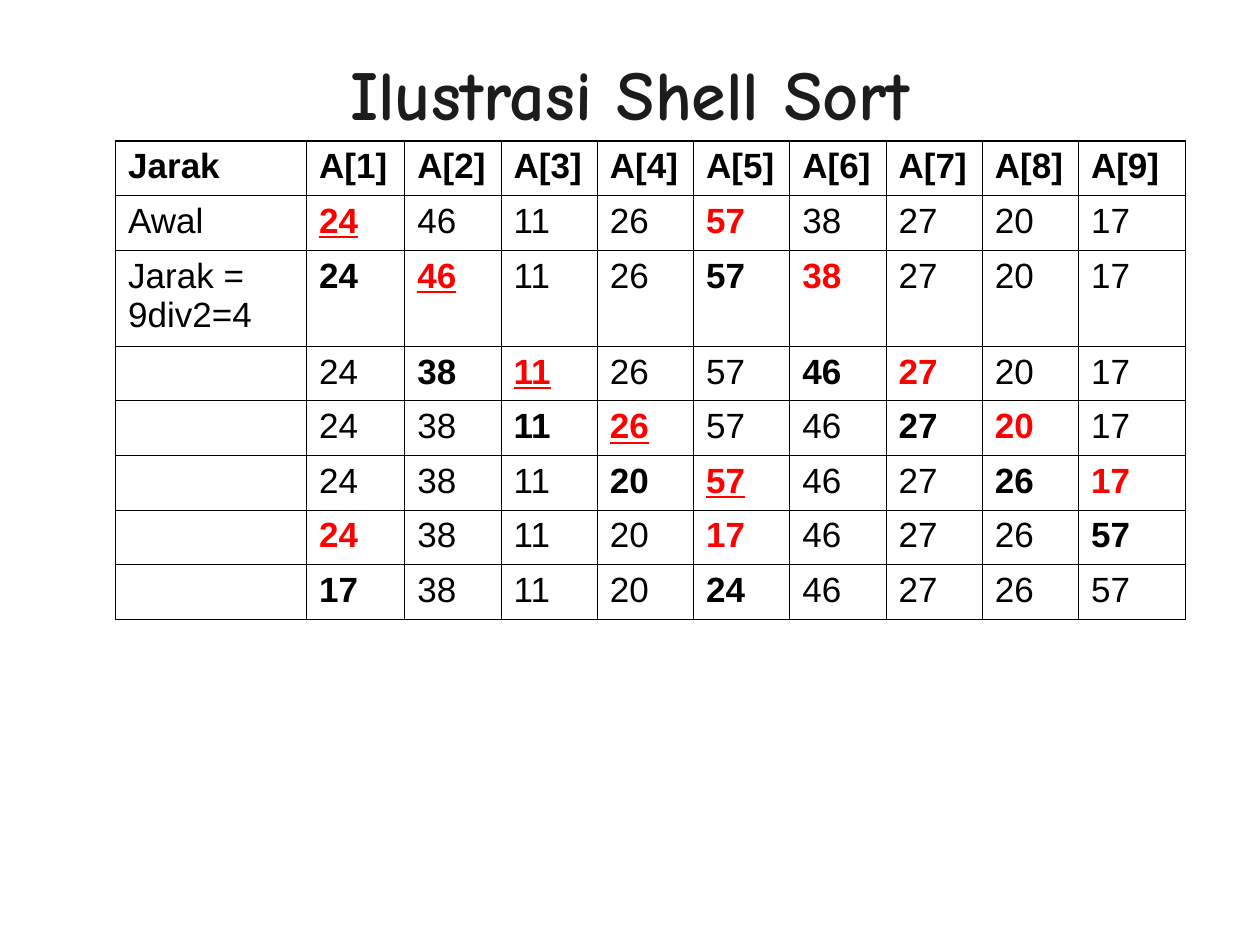
import lxml.etree
import pptx
import pptx.dml.color
import pptx.enum.text
import pptx.oxml.ns
import pptx.util

Cm, Pt = pptx.util.Cm, pptx.util.Pt
COLORS = {"title": "1C1C1C", "text": "000000", "swap": "FF0000", "line": "000000"}

# Cell marks: "_" first of the compared pair, "!" compared, "*" settled
STYLES = {"_": ("swap", True, True), "!": ("swap", True, False), "*": ("text", True, False)}
HEAD = ["*Jarak"] + [f"*A[{n}]" for n in range(1, 10)]
STEPS = [
    ("Awal", "_24 46 11 26 !57 38 27 20 17"),
    ("Jarak = 9div2=4", "*24 _46 11 26 *57 !38 27 20 17"),
    ("", "24 *38 _11 26 57 *46 !27 20 17"),
    ("", "24 38 *11 _26 57 46 *27 !20 17"),
    ("", "24 38 11 *20 _57 46 27 *26 !17"),
    ("", "!24 38 11 20 !17 46 27 26 *57"),
    ("", "*17 38 11 20 *24 46 27 26 57"),
]
WIDTHS = [3.85, 1.98] + [1.94] * 7 + [2.16]
HEIGHTS = [1.1, 1.1, 1.94] + [1.1] * 5


class Deck:
    def __init__(self):
        self.prs = pptx.Presentation()
        self.prs.slide_width, self.prs.slide_height = Cm(25.4), Cm(19.05)
        self.slide = self.prs.slides.add_slide(self.prs.slide_layouts[5])

    def font(self, para, name, size, color, bold, under=False):
        font = para.font
        font.name, font.size, font.bold, font.underline = name, Pt(size), bold, under
        font.color.rgb = pptx.dml.color.RGBColor.from_string(COLORS[color])

    def title(self, text, left, top, width, height):
        box = self.slide.shapes.title
        box.left, box.top, box.width, box.height = map(Cm, (left, top, width, height))
        frame = box.text_frame
        frame.text = text
        frame.auto_size = pptx.enum.text.MSO_AUTO_SIZE.NONE
        frame.vertical_anchor = pptx.enum.text.MSO_ANCHOR.MIDDLE
        para = frame.paragraphs[0]
        para.alignment = pptx.enum.text.PP_ALIGN.CENTER
        self.font(para, "Comic Neue", 40, "title", True)

    def borders(self, cell, outer):
        """Draw all four sides, heavier on the sides named in outer."""
        props = cell._tc.get_or_add_tcPr()
        for spot, side in enumerate("LRTB"):
            width = Pt(1.08 if side in outer else 0.45)
            line = lxml.etree.Element(pptx.oxml.ns.qn(f"a:ln{side}"), w=str(width))
            fill = lxml.etree.SubElement(line, pptx.oxml.ns.qn("a:solidFill"))
            lxml.etree.SubElement(fill, pptx.oxml.ns.qn("a:srgbClr"), val=COLORS["line"])
            props.insert(spot, line)

    def cell(self, cell, text, outer):
        cell.fill.background()
        self.borders(cell, outer)
        color, bold, under = STYLES.get(text[:1], ("text", False, False))
        cell.text = text.lstrip("_!*")
        self.font(cell.text_frame.paragraphs[0], "Arial", 20, color, bold, under)

    def table(self, rows, left, top, widths, heights):
        frame = self.slide.shapes.add_table(
            len(rows), len(widths), Cm(left), Cm(top), Cm(sum(widths)), Cm(sum(heights)))
        table = frame.table
        table.first_row = table.horz_banding = False
        for col, width in zip(table.columns, widths):
            col.width = Cm(width)
        for row, height in zip(table.rows, heights):
            row.height = Cm(height)
        for r, row in enumerate(rows):
            for c, text in enumerate(row):
                outer = "T" * (r == 0) + "L" * (c == 0) + "R" * (c == len(row) - 1)
                self.cell(table.cell(r, c), text, outer)


def main():
    deck = Deck()
    deck.title("Ilustrasi Shell Sort", 1.27, 1.2, 22.86, 1.35)
    rows = [HEAD] + [[label] + values.split() for label, values in STEPS]
    deck.table(rows, 2.33, 2.84, WIDTHS, HEIGHTS)
    deck.prs.save("out.pptx")


if __name__ == "__main__":
    main()
